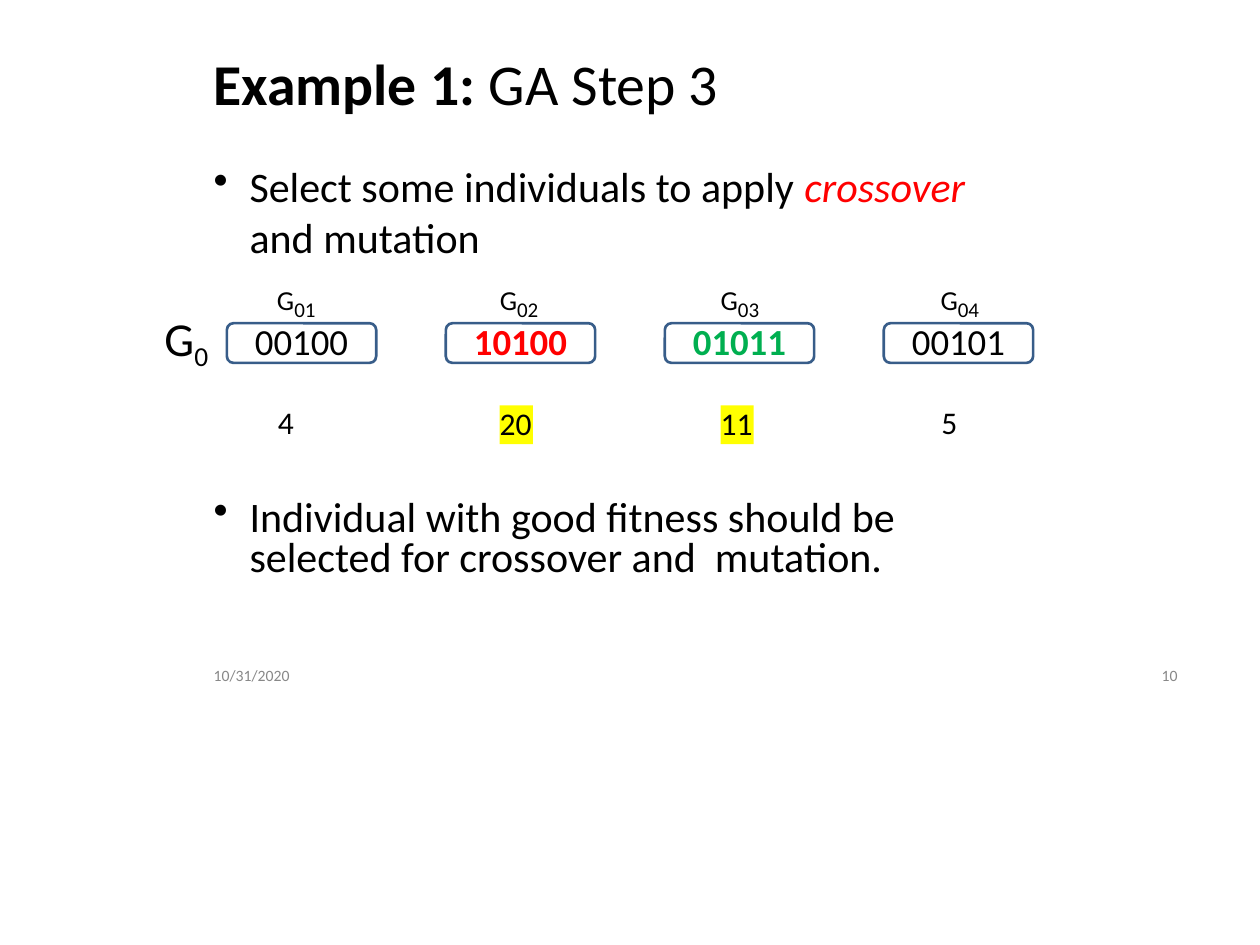
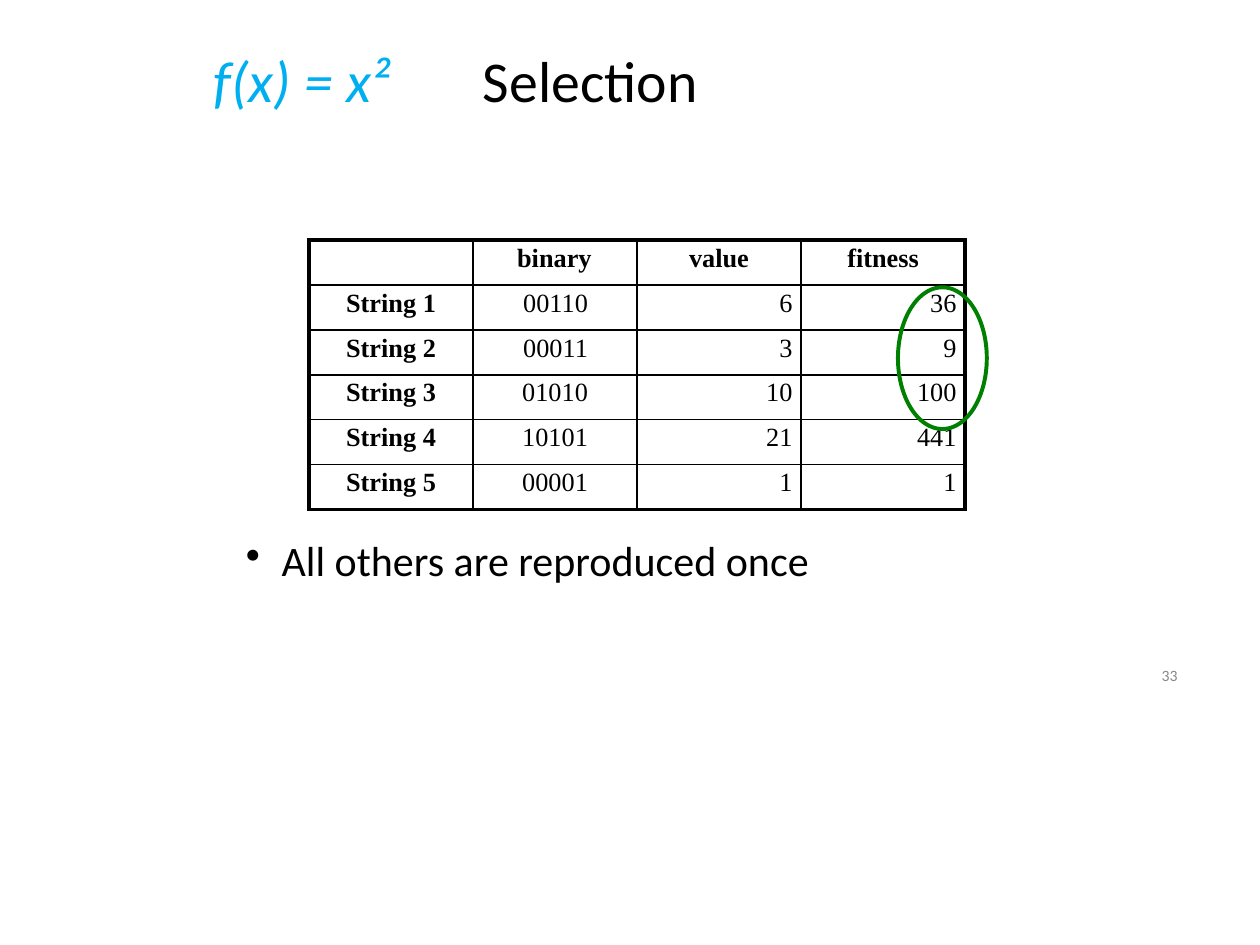
from dataclasses import dataclass

from lxml import etree
from pptx import Presentation
from pptx.dml.color import RGBColor
from pptx.enum.shapes import MSO_SHAPE
from pptx.enum.text import MSO_ANCHOR, PP_ALIGN
from pptx.oxml.ns import qn
from pptx.util import Inches, Pt

ROUND, RECT, OVAL = MSO_SHAPE.ROUNDED_RECTANGLE, MSO_SHAPE.RECTANGLE, MSO_SHAPE.OVAL
LEFT, MID, RIGHT = PP_ALIGN.LEFT, PP_ALIGN.CENTER, PP_ALIGN.RIGHT
MIDDLE = MSO_ANCHOR.MIDDLE


@dataclass(frozen=True)
class Theme:
    """Colours, fonts and type sizes of the deck."""
    ink: str = "000000"
    red: str = "FF0000"
    green: str = "00AF50"
    blue: str = "00AFEF"
    grey: str = "888888"
    frame: str = "385D89"
    ring: str = "008000"
    mark: str = "FFFF00"
    sans: str = "Calibri"
    serif: str = "Times New Roman"
    title: int = 44
    group: int = 36
    body: int = 32
    gene: int = 28
    score: int = 24
    cell: int = 20
    sub: int = 16
    foot: int = 12


T = Theme()


def style(font, size=None, color=None, name=None, bold=None, italic=None):
    """Set the given font traits."""
    if size:
        font.size = Pt(size)
    if color:
        font.color.rgb = RGBColor.from_string(color)
    if name:
        font.name = name
    if bold is not None:
        font.bold = bold
    if italic is not None:
        font.italic = italic


def write(frame, runs, size, color=T.ink, name=T.sans, bold=None, align=LEFT,
          before=0, line=None, indent=0, bullet=False):
    """Fill a frame with one paragraph of (text, traits) runs."""
    para = frame.paragraphs[0]
    para.alignment, para.space_before = align, Pt(before)
    if line:
        para.line_spacing = line
    props = para._p.get_or_add_pPr()
    if bullet:
        props.set("marL", str(Inches(0.39)))
        props.set("indent", str(Inches(-0.38)))
        etree.SubElement(props, qn("a:buChar")).set("char", "•")
    else:
        props.set("marL", str(Inches(indent)))
    style(para.font, size, color, name, bold)
    for text, traits in [(runs, {})] if isinstance(runs, str) else runs:
        run = para.add_run()
        run.text = text
        traits = dict(traits)
        base = traits.pop("base", None)
        style(run.font, **traits)
        if base:
            run._r.get_or_add_rPr().set("baseline", str(base * 1000))


def inset(frame, top=0, bottom=0):
    """Wrap a frame and trim its margins."""
    frame.word_wrap = True
    frame.margin_left = frame.margin_right = 0
    frame.margin_top, frame.margin_bottom = Inches(top), Inches(bottom)


def label(slide, box, runs, size, top=0.01, **look):
    """Add a text box."""
    frame = slide.shapes.add_textbox(*map(Inches, box)).text_frame
    inset(frame, top)
    write(frame, runs, size, **look)


def shape(slide, kind, box, fill=None, line=None, width=2):
    """Add a flat preset shape."""
    item = slide.shapes.add_shape(kind, *map(Inches, box))
    item.shadow.inherit = False
    if fill:
        item.fill.solid()
        item.fill.fore_color.rgb = RGBColor.from_string(fill)
    else:
        item.fill.background()
    if line:
        item.line.color.rgb = RGBColor.from_string(line)
        item.line.width = Pt(width)
    else:
        item.line.fill.background()
    return item


def title(slide, box, runs, **look):
    """Add a heading."""
    label(slide, box, runs, T.title, before=1.1, indent=0.01, **look)


def point(slide, box, runs, **look):
    """Add a bulleted statement."""
    label(slide, box, runs, T.body, bullet=True, **look)


def footer(slide, page, date=None):
    """Add the page number and, if given, the date."""
    look = dict(size=T.foot, color=T.grey, top=0, line=Pt(12.4))
    if date:
        label(slide, (2.25, 7.07, 0.84, 0.17), date, indent=0.01, **look)
    label(slide, (12.25, 7.07, 0.34, 0.17), page, indent=0.04, **look)


def gene(slide, x, y, shift, tag, bits, score, color, best):
    """Draw one individual with its tag above and its score below."""
    label(slide, (x + shift, y - 0.57, 0.52, 0.43),
          [("G", {"base": 14}), (tag, {"size": T.sub})],
          T.group, before=1, indent=0.04)
    frame = shape(slide, ROUND, (x, y, 1.58, 0.42), line=T.frame).text_frame
    inset(frame, bottom=0.04)
    frame.vertical_anchor = MIDDLE
    write(frame, bits, T.gene, color, bold=best, align=MID)
    left = x + shift + 0.04
    if best:
        frame = shape(slide, RECT, (left, y + 0.87, 0.35, 0.41), fill=T.mark).text_frame
        inset(frame)
        frame.vertical_anchor = MSO_ANCHOR.TOP
        write(frame, score, T.score, line=Pt(27.6))
    else:
        label(slide, (left, y + 0.84, 0.2, 0.43), score, T.score, before=1, indent=0.01)


def genes(slide, x, y, pitch):
    """Draw the first generation as a row."""
    label(slide, (x - 0.7, y - 0.16, 0.57, 0.63), [("G", {}), ("0", {"base": -21})],
          T.group, before=1, indent=0.04)
    row = [
        (0.49, "01", "00100", "4", T.ink, False),
        (0.53, "02", "10100", "20", T.red, True),
        (0.55, "03", "01011", "11", T.green, True),
        (0.56, "04", "00101", "5", T.ink, False),
    ]
    for i, item in enumerate(row):
        gene(slide, x + i * pitch, y, *item)


def border(cell, edges):
    """Draw the cell borders from (side, width) pairs."""
    props = cell._tc.get_or_add_tcPr()
    for side, width in edges:
        line = etree.SubElement(props, qn("a:ln" + side), w=str(Pt(width)))
        fill = etree.SubElement(line, qn("a:solidFill"))
        etree.SubElement(fill, qn("a:srgbClr"), val=T.ink)


def grid(slide, box, rows):
    """Draw the fitness table."""
    high, wide = len(rows), len(rows[0])
    table = slide.shapes.add_table(high, wide, *map(Inches, box)).table
    table.first_row = table.horz_banding = False
    heads = [(MID, 0, 0), (RIGHT, 0, 0.48), (LEFT, 0.55, 0), (LEFT, 0.49, 0)]
    cells = [(MID, 0, 0), (RIGHT, 0, 0.52), (RIGHT, 0, 0.09), (RIGHT, 0, 0.09)]
    for r, row in enumerate(rows):
        for c, text in enumerate(row):
            cell = table.cell(r, c)
            align, left, right = (cells if r else heads)[c]
            cell.margin_left, cell.margin_right = Inches(left), Inches(right)
            cell.margin_top, cell.margin_bottom = Inches(0.04), 0
            outer = (("L", c == 0), ("R", c == wide - 1), ("T", r == 0), ("B", r == high - 1))
            border(cell, [(side, 3 if edge else 1.5) for side, edge in outer])
            cell.fill.background()
            if text:
                write(cell.text_frame, text, T.cell, name=T.serif,
                      bold=r == 0 or c == 0, align=align, before=3)


def cross(slide):
    """Build the slide on choosing parents."""
    title(slide, (2.25, 0.5, 5.5, 0.76),
          [("Example 1: ", {"bold": True}), ("GA Step 3", {})])
    point(slide, (2.25, 1.69, 8.3, 1.09),
          [("Select some individuals to apply ", {}),
           ("crossover ", {"color": T.red, "italic": True}),
           ("and mutation", {})], before=0.9)
    genes(slide, 2.4, 3.42, 6.95 / 3)
    point(slide, (2.25, 5.21, 7.7, 0.95),
          "Individual with good fitness should be selected for crossover and  mutation.",
          top=0.08, before=5.8, line=0.8)
    footer(slide, "10", "10/31/2020")


def select(slide):
    """Build the slide on selection by fitness."""
    title(slide, (2.25, 0.46, 1.95, 0.76), [("f(x) = x²", {"italic": True})], color=T.blue)
    title(slide, (5.1, 0.46, 2.3, 0.76), "Selection")
    grid(slide, (3.27, 2.54, 6.94, 2.85), [
        ("", "binary", "value", "fitness"),
        ("String 1", "00110", "6", "36"),
        ("String 2", "00011", "3", "9"),
        ("String 3", "01010", "10", "100"),
        ("String 4", "10101", "21", "441"),
        ("String 5", "00001", "1", "1"),
    ])
    shape(slide, OVAL, (9.5, 3.04, 0.94, 1.5), line=T.ring, width=3)
    point(slide, (2.59, 5.65, 7.25, 0.55), "All others are reproduced once", before=1)
    footer(slide, "33")


def main():
    """Build and save the deck."""
    deck = Presentation()
    deck.slide_width, deck.slide_height = Inches(13.33), Inches(10)
    for build in (cross, select):
        build(deck.slides.add_slide(deck.slide_layouts[6]))
    deck.save("out.pptx")


main()
